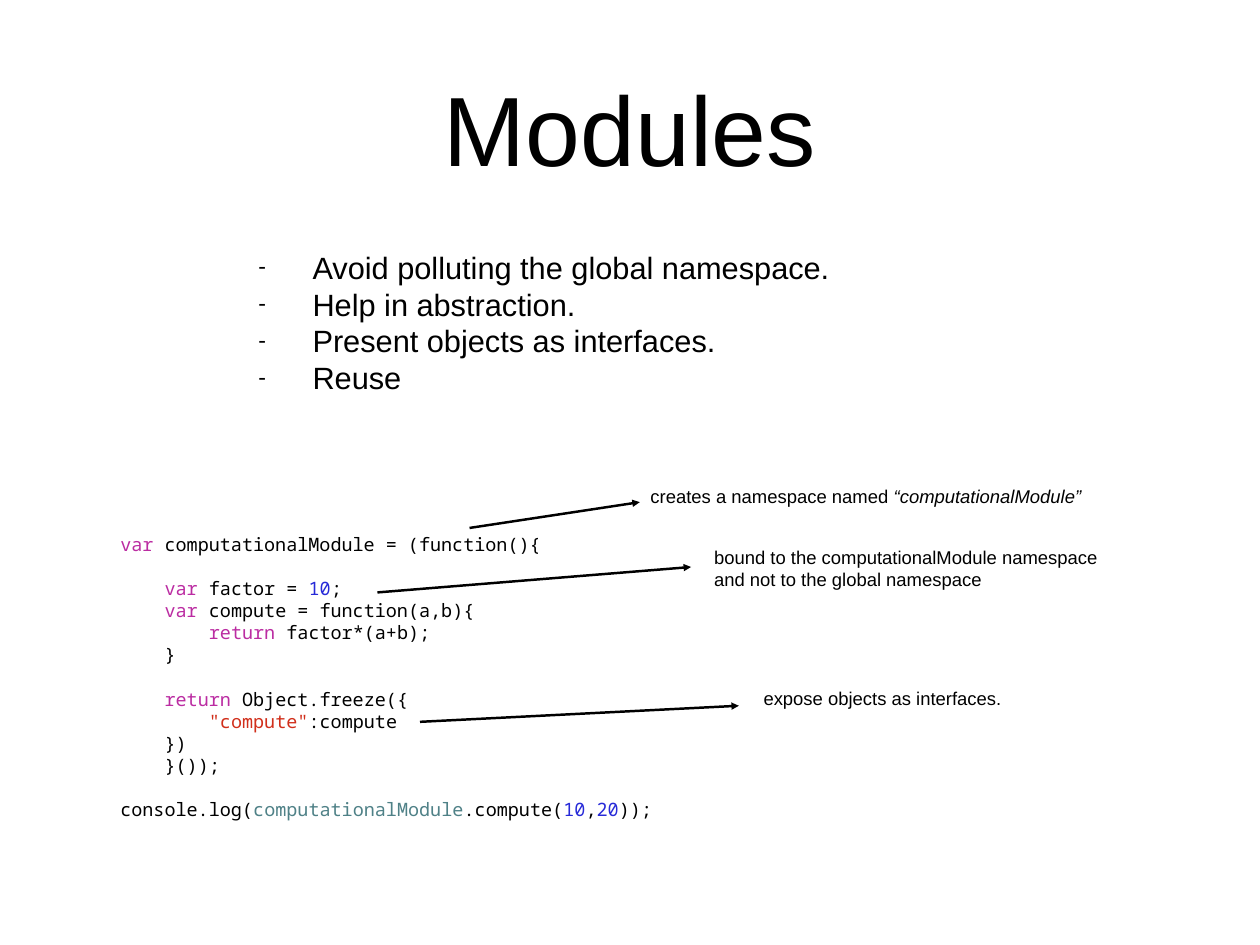
import pptx
import pptx.util
import pptx.dml.color
import pptx.enum.shapes
import pptx.enum.text
import pptx.oxml.ns
import lxml.etree

Cm = pptx.util.Cm
Pt = pptx.util.Pt
RGBColor = pptx.dml.color.RGBColor
ALIGN = pptx.enum.text.PP_ALIGN

BLACK = RGBColor(0x00, 0x00, 0x00)
WHITE = RGBColor(0xFF, 0xFF, 0xFF)
KEYWORD = RGBColor(0xBB, 0x2C, 0xA2)
NUMBER = RGBColor(0x27, 0x2A, 0xD8)
STRING = RGBColor(0xD1, 0x2F, 0x1B)
MODULE = RGBColor(0x4F, 0x81, 0x87)

TITLE = "Modules"
TITLE_BOX = (2.64, 1.24, 30.84, 4.8)

BENEFITS = [
    "Avoid polluting the global namespace.",
    "Help in abstraction.",
    "Present objects as interfaces.",
    "Reuse",
]
BENEFITS_BOX = (7.26, 6.99, 17.27, 4.5)
BULLET_INDENT = Cm(1.55)

# Each code line: indent level, blank lines before it, coloured runs.
CODE = [
    (0, 0, [("var", KEYWORD), (" computationalModule = (function(){", BLACK)]),
    (1, 1, [("var", KEYWORD), (" factor = ", BLACK), ("10", NUMBER), (";", BLACK)]),
    (1, 0, [("var", KEYWORD), (" compute = function(a,b){", BLACK)]),
    (2, 0, [("return", KEYWORD), (" factor*(a+b);", BLACK)]),
    (1, 0, [("}", BLACK)]),
    (1, 1, [("return", KEYWORD), (" Object.freeze({", BLACK)]),
    (2, 0, [('"compute"', STRING), (":compute", BLACK)]),
    (1, 0, [("})", BLACK)]),
    (1, 0, [("}());", BLACK)]),
    (0, 1, [("console.log(", BLACK), ("computationalModule", MODULE),
            (".compute(", BLACK), ("10", NUMBER), (",", BLACK),
            ("20", NUMBER), ("));", BLACK)]),
]
CODE_BOX = (3.3, 15.14, 16, 8.53)
CODE_PITCH = 17.95
CODE_INDENT = 36

# Each note: box, alignment, lines of (text, italic) runs.
NOTES = [
    ((18.36, 13.77, 12.93, 0.91), ALIGN.CENTER,
     [[("creates a namespace named ", False), ("“computationalModule”", True)]]),
    ((20.32, 15.52, 11.81, 1.55), ALIGN.LEFT,
     [[("bound to the computationalModule namespace", False)],
      [("and not to the global namespace", False)]]),
    ((21.67, 19.56, 7.26, 0.91), ALIGN.CENTER,
     [[("expose objects as interfaces.", False)]]),
]

ARROWS = [
    (13.46, 15.14, 18.34, 14.4),
    (10.82, 16.99, 19.81, 16.26),
    (12.04, 20.7, 21.18, 20.24),
]


def add_child(parent, tag, **attributes):
    return lxml.etree.SubElement(parent, pptx.oxml.ns.qn(tag), attributes)


def set_frame(frame):
    frame.word_wrap = True
    frame.auto_size = pptx.enum.text.MSO_AUTO_SIZE.NONE
    frame.vertical_anchor = pptx.enum.text.MSO_ANCHOR.MIDDLE
    frame.margin_left = frame.margin_right = Cm(0.15)
    frame.margin_top = frame.margin_bottom = Cm(0.15)


def add_run(paragraph, text, size, color=BLACK, font="Arial", italic=False):
    run = paragraph.add_run()
    run.text = text
    run.font.name = font
    run.font.size = Pt(size)
    run.font.color.rgb = color
    run.font.italic = italic


def add_text(slide, box, count):
    frame = slide.shapes.add_textbox(*map(Cm, box)).text_frame
    set_frame(frame)
    return [frame.paragraphs[0]] + [frame.add_paragraph() for _ in range(count - 1)]


def add_title(slide):
    title = slide.shapes.title
    title.left, title.top, title.width, title.height = map(Cm, TITLE_BOX)
    set_frame(title.text_frame)
    paragraph = title.text_frame.paragraphs[0]
    paragraph.alignment = ALIGN.CENTER
    add_run(paragraph, TITLE, 80)


def add_benefits(slide):
    paragraphs = add_text(slide, BENEFITS_BOX, len(BENEFITS))
    for paragraph, benefit in zip(paragraphs, BENEFITS):
        paragraph.line_spacing = Pt(30)
        add_run(paragraph, benefit, 25)
        properties = paragraph._p.get_or_add_pPr()
        properties.set("marL", str(BULLET_INDENT))
        properties.set("indent", str(-BULLET_INDENT))
        add_child(properties, "a:buSzPct", val="75000")
        add_child(properties, "a:buFont", typeface="Arial")
        add_child(properties, "a:buChar", char="-")


def add_code(slide):
    paragraphs = add_text(slide, CODE_BOX, len(CODE))
    for paragraph, (level, blanks, runs) in zip(paragraphs, CODE):
        paragraph.line_spacing = Pt(CODE_PITCH)
        paragraph.space_before = Pt(blanks * CODE_PITCH)
        paragraph._p.get_or_add_pPr().set("marL", str(Pt(level * CODE_INDENT)))
        for text, color in runs:
            add_run(paragraph, text, 15, color, "Noto Sans Mono")


def add_note(slide, box, alignment, lines):
    for paragraph, runs in zip(add_text(slide, box, len(lines)), lines):
        paragraph.alignment = alignment
        for text, italic in runs:
            add_run(paragraph, text, 15, italic=italic)


def add_arrow(slide, ends):
    arrow = slide.shapes.add_connector(
        pptx.enum.shapes.MSO_CONNECTOR.STRAIGHT, *map(Cm, ends))
    arrow.line.color.rgb = BLACK
    arrow.line.width = Pt(2)
    add_child(arrow.line._get_or_add_ln(), "a:tailEnd", type="triangle")
    add_child(arrow._element.spPr, "a:effectLst")


def main():
    presentation = pptx.Presentation()
    presentation.slide_width = Cm(36.12)
    presentation.slide_height = Cm(27.1)
    slide = presentation.slides.add_slide(presentation.slide_layouts[5])
    slide.background.fill.solid()
    slide.background.fill.fore_color.rgb = WHITE
    add_title(slide)
    add_benefits(slide)
    add_code(slide)
    for note in NOTES:
        add_note(slide, *note)
    for ends in ARROWS:
        add_arrow(slide, ends)
    presentation.save("out.pptx")


if __name__ == "__main__":
    main()
